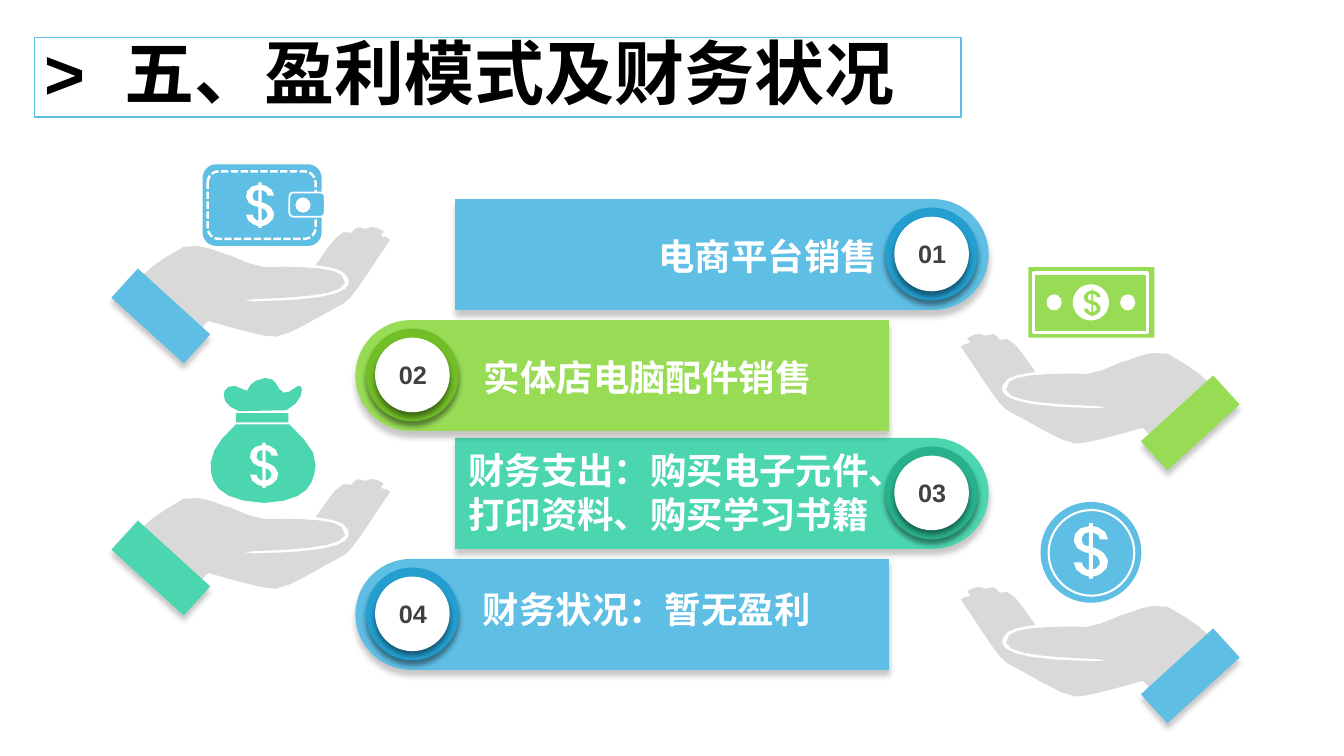
"""Build the slide on the profit model and the financial situation."""
from math import ceil, hypot, sqrt

from lxml.etree import SubElement
from pptx import Presentation
from pptx.dml.color import RGBColor
from pptx.enum.dml import MSO_LINE
from pptx.enum.shapes import MSO_SHAPE
from pptx.enum.text import MSO_ANCHOR, PP_ALIGN
from pptx.oxml.ns import qn
from pptx.util import Cm, Pt

THEME = {
    "font": "Arial", "title": 50, "label": 26, "number": 18,
    "blue": "5EBEE4", "green": "98DC56", "teal": "4CD6B0",
    "blue_ring": "239ECF", "green_ring": "72BE27", "teal_ring": "29B18B",
    "skin": "D9D9D9", "white": "FFFFFF", "black": "000000", "grey": "404040",
}
SOFT, STRONG = (22, 4, 4), (43, 4, 3)

TITLE = (("> ", 700), ("五、盈利模式及财务状况", 0))
BANNERS = [
    ("03", "right", 4.89, "teal"),
    ("01", "right", 2.52, "blue"),
    ("04", "left", 6.09, "blue"),
    ("02", "left", 3.72, "green"),
]
LABELS = [
    (["电商平台销售"], "RIGHT", 4.59, 2.27, 0.54),
    (["实体店电脑配件销售"], "LEFT", 4.7, 3.47, 0.54),
    (["财务支出：购买电子元件、", "打印资料、购买学习书籍"], "RIGHT", 4.51, 4.4, 0.98),
    (["财务状况：暂无盈利"], "LEFT", 4.69, 5.78, 0.54),
]
HANDS = [
    (1.24, 4.75, False, "teal"),
    (1.24, 2.25, False, "blue"),
    (9.53, 5.82, True, "blue"),
    (9.53, 3.31, True, "green"),
]
HAND_W = 263
PALM = [[
    (138, 40), (167, 39, 209, 40, 215, 48), (234, 69, 166, 70, 126, 72),
    (120, 74, 105, 75, 98, 77), (60, 117), (0, 63),
    (21, 47, 21, 40, 58, 20), (75, 17, 82, 21, 96, 26), (110, 29, 116, 36, 138, 40),
]]
FINGERS = [[
    (189, 38), (197, 28, 213, -2, 224, 6), (225, 8, 227, -4, 238, 2),
    (243, 2, 244, -3, 256, 4), (259, 5, 252, 8, 254, 9), (255, 11, 259, 8, 263, 13),
    (248, 34, 225, 73, 217, 76), (195, 87, 165, 107, 150, 109),
    (135, 110, 84, 93, 52, 85), (55, 80, 82, 66, 127, 74),
    (236, 73, 222, 55, 221, 50), (217, 41, 201, 40, 189, 38),
]]
BAG = [
    [(25, 46), (78, 46), (95, 63, 105, 73, 104, 87), (102, 104, 98, 122, 53, 124),
     (5, 122, -1, 102, 0, 84), (2, 71, 8, 62, 25, 46)],
    [(25, 35), (77, 35), (77, 44), (25, 44)],
    [(54, 0), (64, 1, 63, 3, 68, 11), (75, 22, 85, 5, 89, 8), (93, 10, 90, 25, 75, 32),
     (28, 33), (16, 28, 14, 24, 13, 18), (12, 12, 18, 2, 34, 12), (39, 16, 34, 3, 54, 0)],
]
DOLLAR_H = 55
DOLLAR = [
    [(15, 23), (15, 9), (11, 10), (9, 12, 7, 15, 8, 18), (8, 21, 11, 23, 15, 23)],
    [(19, 46), (22, 45), (25, 43, 27, 40, 26, 38), (25, 34, 23, 32, 19, 31)],
    [(19, 55), (15, 55), (15, 53), (9, 51), (4, 49, 0, 44, 0, 39), (8, 39),
     (8, 42, 10, 44, 13, 46), (15, 46), (15, 30), (9, 28, 2, 27, 0, 18),
     (-1, 13, 2, 8, 7, 5), (9, 4, 12, 3, 15, 3), (15, 0), (19, 0), (19, 3),
     (24, 4), (30, 6, 34, 11, 34, 16), (26, 16), (26, 13, 24, 11, 21, 10),
     (19, 9), (19, 24), (25, 26, 31, 28, 34, 37), (35, 42, 32, 47, 27, 50),
     (25, 52, 22, 52, 19, 53)],
]
RECT, ROUND, OVAL = MSO_SHAPE.RECTANGLE, MSO_SHAPE.ROUNDED_RECTANGLE, MSO_SHAPE.OVAL
ICONS = [
    ([(RECT, 10.2, 2.65, 1.25, 0.7, "green", {}),
      (RECT, 10.25, 2.71, 1.13, 0.59, None, {"width": Pt(2.5)}),
      (OVAL, 10.38, 2.92, 0.15, 0.16, "white", {}),
      (OVAL, 11.11, 2.92, 0.15, 0.16, "white", {}),
      (OVAL, 10.64, 2.82, 0.36, 0.36, "white", {})], (10.75, 2.87, 0.27, "green")),
    ([(ROUND, 2.01, 1.63, 1.18, 0.81, "blue", {}),
      (ROUND, 2.06, 1.7, 1.07, 0.67, None, {"width": Pt(1.75), "dash_style": MSO_LINE.SQUARE_DOT}),
      (ROUND, 2.87, 1.91, 0.35, 0.24, "blue", {"width": Pt(1.25)}),
      (OVAL, 2.93, 1.96, 0.15, 0.15, "white", {})], (2.44, 1.81, 0.45, "white")),
    ([], (2.48, 4.39, 0.45, "white")),
    ([(OVAL, 10.32, 4.98, 1, 1, "blue", {}),
      (OVAL, 10.4, 5.06, 0.85, 0.85, "blue", {"width": Pt(1.5)})], (10.65, 5.19, 0.55, "white")),
]


def inch(v):
    return Cm(v * 2.54)


def color(name):
    return RGBColor.from_string(THEME[name])


def apply(obj, fmt):
    for key, value in fmt.items():
        setattr(obj, key, value)


def paint(sp, fill, line=None, edge="white", shadow=None):
    sp.shadow.inherit = False
    if fill:
        sp.fill.solid()
        sp.fill.fore_color.rgb = color(fill)
    else:
        sp.fill.background()
    if line:
        sp.line.color.rgb = color(edge)
        apply(sp.line, line)
    else:
        sp.line.fill.background()
    if shadow:
        alpha, blur, dist = shadow
        outer = SubElement(sp._element.spPr.find(qn("a:effectLst")), qn("a:outerShdw"),
                           blurRad=str(Pt(blur)), dist=str(Pt(dist)), dir="5400000",
                           algn="t", rotWithShape="0")
        clr = SubElement(outer, qn("a:srgbClr"), val=THEME["black"])
        SubElement(clr, qn("a:alpha"), val=str(alpha * 1000))


def add_preset(shapes, kind, x, y, w, h, fill, **fmt):
    sp = shapes.add_shape(kind, *map(inch, (x, y, w, h)))
    paint(sp, fill, **fmt)
    return sp


def flatten(contour, tolerance=1.2, most=7):
    pts = [contour[0]]
    for seg in contour[1:]:
        if len(seg) == 2:
            pts.append(seg)
            continue
        ctrl = list(zip((pts[-1] + seg)[::2], (pts[-1] + seg)[1::2]))
        bend = max(hypot(a[0] - 2 * b[0] + c[0], a[1] - 2 * b[1] + c[1])
                   for a, b, c in zip(ctrl, ctrl[1:], ctrl[2:]))
        steps = min(most, max(1, ceil(sqrt(0.75 * bend / tolerance))))
        for i in range(1, steps + 1):
            t = i / steps
            weights = ((1 - t) ** 3, 3 * t * (1 - t) ** 2, 3 * t * t * (1 - t), t ** 3)
            pts.append(tuple(sum(k * c[axis] for k, c in zip(weights, ctrl)) for axis in (0, 1)))
    return pts


def add_outline(shapes, contours, x, y, fill, scale=0.01, mirror_w=None):
    fb = None
    for contour in contours:
        pts = [(inch(x + (mirror_w - px if mirror_w else px) * scale), inch(y + py * scale))
               for px, py in flatten(contour)]
        if fb is None:
            fb = shapes.build_freeform(*pts[0], scale=1.0)
        else:
            fb.move_to(*pts[0])
        fb.add_line_segments(pts[1:], close=True)
    paint(fb.convert_to_shape(), fill)


def add_run(p, text, size, ink):
    r = p.add_run()
    r.text = text
    apply(r.font, {"name": THEME["font"], "size": Pt(THEME[size]), "bold": True})
    r.font.color.rgb = color(ink)
    return r


def add_text(shapes, lines, x, y, w, h, size, ink, align):
    tf = shapes.add_textbox(*map(inch, (x, y, w, h))).text_frame
    tf.word_wrap = True
    for i, line in enumerate(lines):
        p = tf.add_paragraph() if i else tf.paragraphs[0]
        p.alignment = align
        add_run(p, line, size, ink)


def main():
    prs = Presentation()
    apply(prs, {"slide_width": inch(13.33), "slide_height": inch(7.5)})
    shapes = prs.slides.add_slide(prs.slide_layouts[6]).shapes
    for number, side, cy, hue in BANNERS:
        cx, ring_x, turn = (7.16, 9.24, 90) if side == "right" else (6.17, 4.09, 270)
        sp = add_preset(shapes, MSO_SHAPE.ROUND_2_SAME_RECTANGLE, cx - 0.55, cy - 2.64,
                        1.1, 5.29, hue, shadow=SOFT)
        sp.adjustments[0] = 0.5
        sp.rotation = turn
        for d, fill in ((0.92, hue + "_ring"), (0.74, "white")):
            add_preset(shapes, OVAL, ring_x - d / 2, cy - d / 2, d, d, fill, shadow=STRONG)
        add_text(shapes, [number], ring_x - 0.27, cy - 0.2, 0.55, 0.4,
                 "number", "grey", PP_ALIGN.CENTER)
    for lines, align, x, y, h in LABELS:
        add_text(shapes, lines, x, y, 4.21, h, "label", "white", PP_ALIGN[align])
    for x, y, mirrored, hue in HANDS:
        for contours in (PALM, FINGERS):
            add_outline(shapes, contours, x, y, "skin", mirror_w=HAND_W if mirrored else None)
        cuff_x = x + (2.08 if mirrored else 0.16)
        cuff = add_preset(shapes, RECT, cuff_x, y + 0.4, 0.39, 0.97, hue, shadow=SOFT)
        cuff.rotation = 47.7 if mirrored else 312.3
    add_outline(shapes, BAG, 2.09, 3.75, "teal")
    for parts, (x, y, h, ink) in ICONS:
        for kind, px, py, w, ph, fill, line in parts:
            add_preset(shapes, kind, px, py, w, ph, fill, line=line)
        add_outline(shapes, DOLLAR, x, y, ink, scale=h / DOLLAR_H)
    sp = add_preset(shapes, RECT, 0.34, 0.37, 9.19, 0.79, "white",
                    line={"width": Pt(1)}, edge="blue")
    tf = sp.text_frame
    apply(tf, {"word_wrap": True, "vertical_anchor": MSO_ANCHOR.MIDDLE})
    p = tf.paragraphs[0]
    apply(p, {"alignment": PP_ALIGN.LEFT, "line_spacing": 0.9})
    for text, tracking in TITLE:
        add_run(p, text, "title", "black").font._element.set("spc", str(tracking))
    prs.save("out.pptx")


if __name__ == "__main__":
    main()
